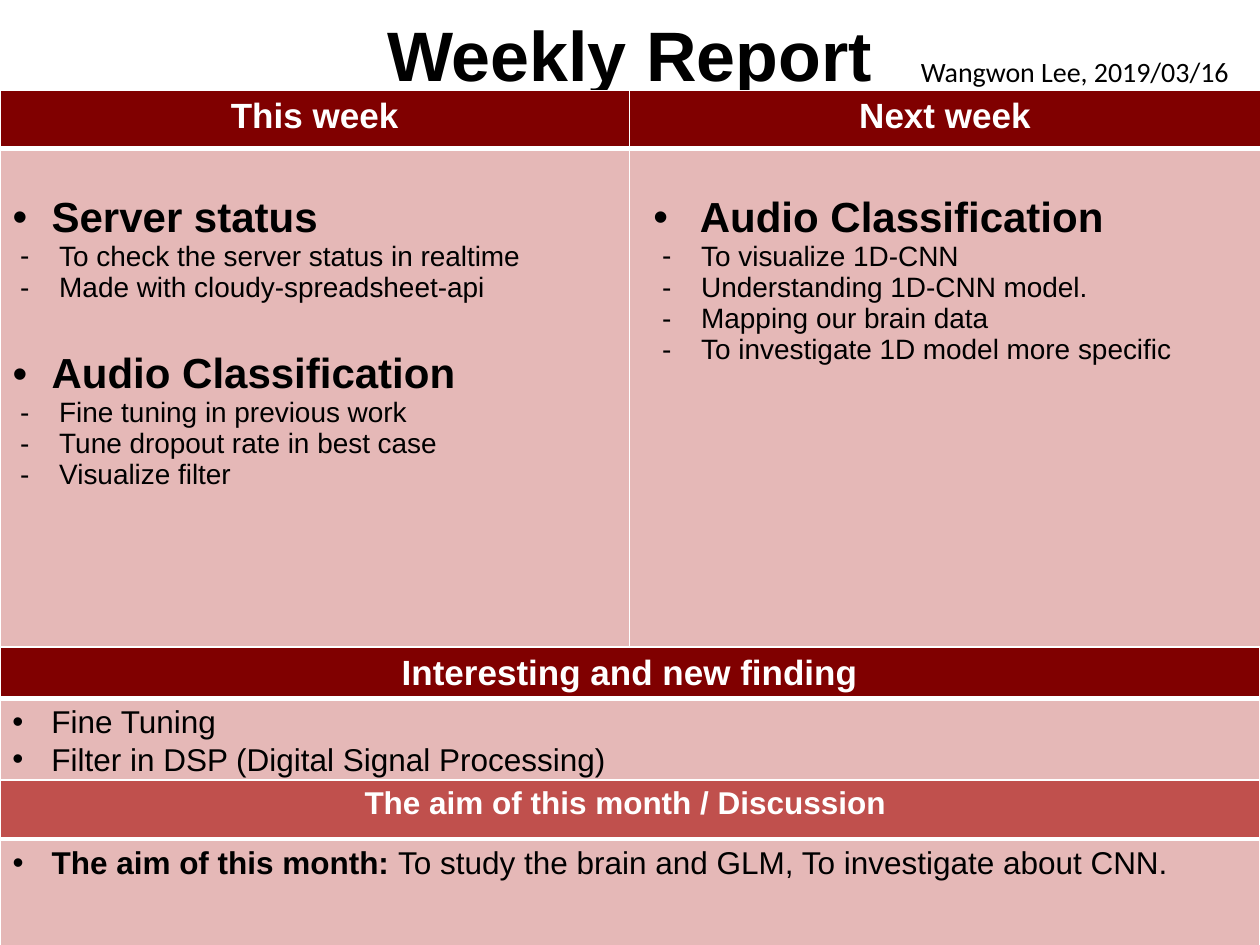
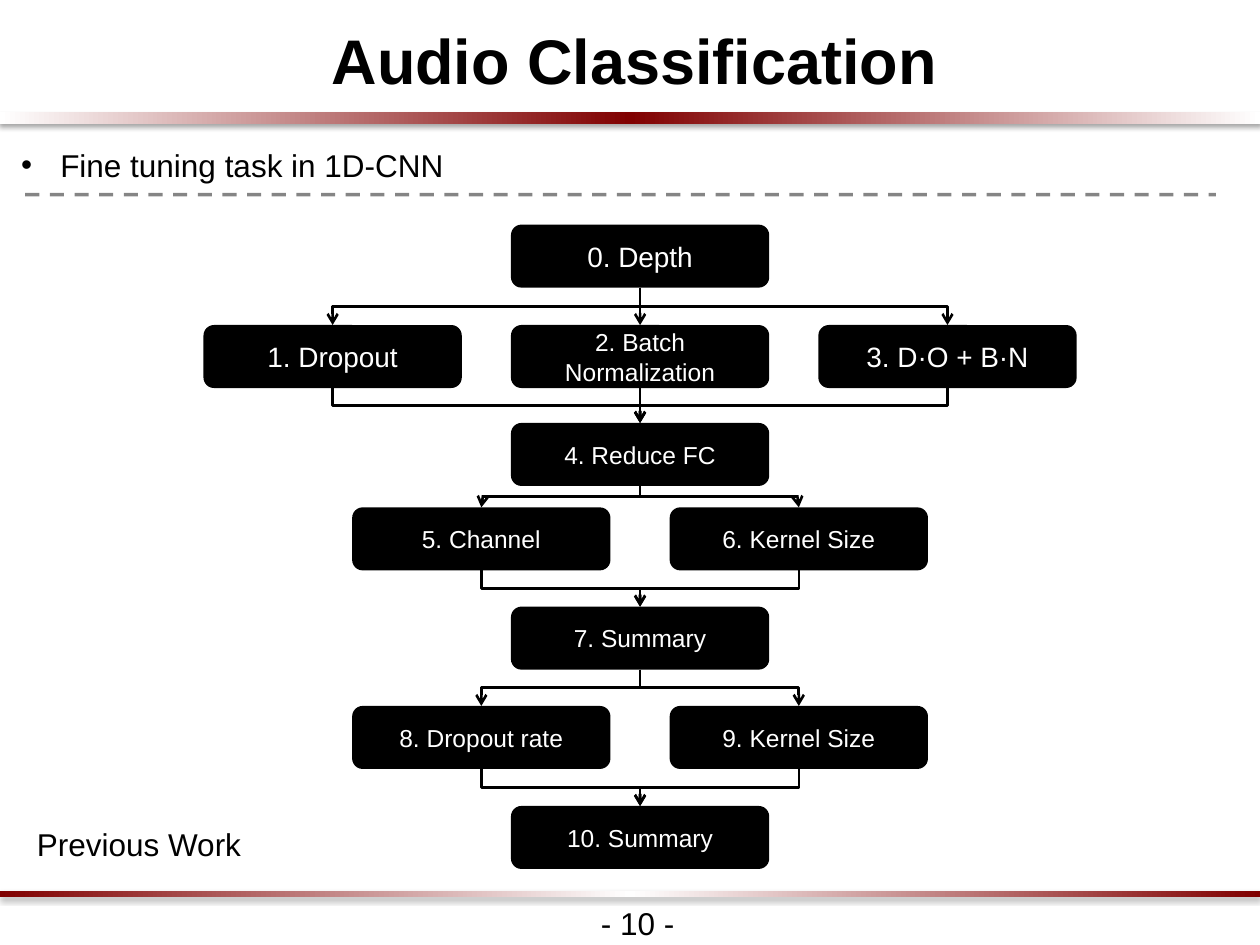
import copy
import lxml.etree
import pptx
import pptx.dml.color
import pptx.enum.dml
import pptx.enum.shapes
import pptx.enum.text
import pptx.oxml.ns
import pptx.util

Pt = pptx.util.Pt
Inches = pptx.util.Inches
qn = pptx.oxml.ns.qn
Shape = pptx.enum.shapes.MSO_SHAPE
Link = pptx.enum.shapes.MSO_CONNECTOR
Align = pptx.enum.text.PP_ALIGN
Fit = pptx.enum.text.MSO_AUTO_SIZE
Anchor = pptx.enum.text.MSO_ANCHOR

HUES = {"ink": "000000", "paper": "FFFFFF", "wine": "800000",
        "rose": "E5B8B7", "brick": "C0504D"}
DOT = {"mark": "•", "left": 0.31, "hang": 0.31}
HEAD = {"size": 20, "bold": True, "hue": "paper", "mid": True}


def tint(name):
    return pptx.dml.color.RGBColor.from_string(HUES[name])


def add(root, tag, **attrs):
    return lxml.etree.SubElement(root, qn(tag), attrs)


def write(frame, text, size=18, bold=False, hue="ink", font="Arial", mid=False,
          mark=None, left=0, hang=0, gap=0, lead=None, join=False):
    para = frame.paragraphs[-1]
    if para.runs and not join:
        para = frame.add_paragraph()
    run = para.add_run()
    run.text = text
    run.font.size, run.font.bold, run.font.name = Pt(size), bold, font
    run.font.color.rgb = tint(hue)
    if mid:
        para.alignment = Align.CENTER
    if gap:
        para.space_before = Pt(gap)
    if lead:
        para.line_spacing = lead
    if left:
        props = para._p.get_or_add_pPr()
        props.set("marL", str(Inches(left)))
        props.set("indent", str(-Inches(hang)))
    if mark:
        props = para._p.get_or_add_pPr()
        add(props, "a:buFont", typeface="Arial")
        add(props, "a:buChar", char=mark)


class Deck:
    """Holds the style, a grid of 100 columns by 75 rows, and the current slide."""

    def __init__(self):
        self.file = pptx.Presentation()
        self.file.slide_width, self.file.slide_height = Inches(10), Inches(7.5)
        self.plan = self.file.slide_layouts[5]
        self.slide = None

    def cols(self, num):
        return round(self.file.slide_width * num / 100)

    def rows(self, num):
        return round(self.file.slide_height * num / 75)

    def area(self, x, y, wide, high):
        return self.cols(x), self.rows(y), self.cols(wide), self.rows(high)

    def open(self):
        self.slide = self.file.slides.add_slide(self.plan)

    def title(self, text, x, y, wide, high, pad=0.05, **form):
        box = self.slide.shapes.title
        box.left, box.top, box.width, box.height = self.area(x, y, wide, high)
        frame = box.text_frame
        frame.auto_size = Fit.NONE
        frame.vertical_anchor = Anchor.MIDDLE
        frame.margin_top = frame.margin_bottom = Inches(pad)
        write(frame, text, bold=True, mid=True, **form)

    def text(self, lines, x, y, wide, high, wrap=True, **form):
        box = self.slide.shapes.add_textbox(*self.area(x, y, wide, high))
        frame = box.text_frame
        frame.word_wrap = wrap
        frame.auto_size = Fit.NONE if wrap else Fit.SHAPE_TO_FIT_TEXT
        for line in lines:
            write(frame, line, **form)

    def shape(self, kind, x, y, wide, high):
        item = self.slide.shapes.add_shape(kind, *self.area(x, y, wide, high))
        item.shadow.inherit = False
        item.line.fill.background()
        return item

    def band(self, y, high, edge, core):
        item = self.shape(Shape.RECTANGLE, 0, y, 100, high)
        props = item._element.spPr
        item.fill.gradient()
        item.fill.gradient_angle = 0
        stops = props.find(".//" + qn("a:gsLst"))
        stops.append(copy.deepcopy(stops[0]))
        for stop, name, spot in zip(item.fill.gradient_stops,
                                    (edge, core, edge), (0, 0.5, 1)):
            stop.color.rgb, stop.position = tint(name), spot
        glow = add(props.find(qn("a:effectLst")), "a:outerShdw",
                   blurRad=str(Pt(3.1)), dist=str(Pt(1.8)), dir="5400000")
        shade = add(glow, "a:srgbClr", val=HUES["ink"])
        add(shade, "a:alpha", val="35000")
        self.plan.shapes._spTree.append(item._element)

    def box(self, label, x, y, size):
        item = self.shape(Shape.ROUNDED_RECTANGLE, x, y, 20.5, 5)
        item.fill.solid()
        item.fill.fore_color.rgb = tint("ink")
        item.text_frame.word_wrap = True
        item.text_frame.vertical_anchor = Anchor.MIDDLE
        write(item.text_frame, label, size=size, hue="paper", mid=True)
        return item

    def line(self, kind, ends, width=1.5):
        item = self.slide.shapes.add_connector(kind, *ends)
        item.line.width = Pt(width)
        item.line.color.rgb = tint("ink")
        add(item._element.spPr, "a:effectLst")
        return item

    def rule(self, x, y, end):
        item = self.line(Link.STRAIGHT, (self.cols(x), self.rows(y),
                                         self.cols(end), self.rows(y)), 2)
        item.line.dash_style = pptx.enum.dml.MSO_LINE.DASH
        shade = item.get_or_add_ln().find(".//" + qn("a:srgbClr"))
        add(shade, "a:alpha", val="47000")

    def arrow(self, start, goal):
        x1, y1 = start.left + start.width // 2, start.top + start.height
        x2, y2 = goal.left + goal.width // 2, goal.top
        if x1 == x2:
            item = self.line(Link.STRAIGHT, (x1, y1, x2, y2))
            item.begin_connect(start, 2)
            item.end_connect(goal, 0)
        else:
            right = x2 > x1
            mid, level = (x1 + x2) // 2, (y1 + y2) // 2
            half, reach = (y2 - y1) // 2, abs(x2 - x1) // 2
            side = half if right else -half
            item = self.line(Link.ELBOW, (mid + side, level - reach,
                                          mid - side, level + reach))
            turn = 270 if right else 90
            item._element.spPr.xfrm.set("rot", str(turn * 60000))
        add(item.get_or_add_ln(), "a:tailEnd", type="arrow")

    def table(self, x, y, wides, highs, head="wine"):
        table = self.slide.shapes.add_table(
            len(highs), len(wides),
            *self.area(x, y, sum(wides), sum(highs))).table
        for col, wide in zip(table.columns, wides):
            col.width = self.cols(wide)
        for i, (row, high) in enumerate(zip(table.rows, highs)):
            row.height = self.rows(high)
            for cell in row.cells:
                self.edge(cell, 3 if i == 1 else 0.96, 3 if i == 0 else 0.96)
                cell.fill.solid()
                cell.fill.fore_color.rgb = tint("rose" if i else head)
        return table

    def edge(self, cell, top, base):
        props = cell._tc.get_or_add_tcPr()
        for side, width in zip("LRTB", (0.96, 0.96, top, base)):
            line = add(props, "a:ln" + side, w=str(Pt(width)))
            add(add(line, "a:solidFill"), "a:srgbClr", val=HUES["paper"])


def fill(cell, parts, head, item):
    cell.margin_top = Inches(0.36)
    for i, (topic, notes) in enumerate(parts):
        write(cell.text_frame, topic, size=24, bold=True, mark="•",
              gap=27 if i else 0, **head)
        for note in notes:
            write(cell.text_frame, note, size=16, mark="-", **item)


def report(deck):
    deck.title("Weekly Report", 0.1, 0.3, 99.7, 7.9, size=40)
    deck.text(["Wangwon Lee, 2019/03/16"], 72.1, 3.85, 28.2, 4,
              size=16, font="Calibri")

    weeks = deck.table(0, 7.2, (49.95, 50.1), (4.6, 52.2, 10.3))
    for i, name in enumerate(("This week", "Next week")):
        write(weeks.cell(0, i).text_frame, name, **HEAD)
    weeks.cell(1, 0).merge(weeks.cell(2, 0))
    fill(weeks.cell(1, 0), [
        ("Server status", ["To check the server status in realtime",
                           "Made with cloudy-spreadsheet-api"]),
        ("Audio Classification", ["Fine tuning in previous work",
                                  "Tune dropout rate in best case",
                                  "Visualize filter"]),
    ], {"left": 0.31, "hang": 0.31}, {"left": 0.37, "hang": 0.31})
    fill(weeks.cell(1, 1), [
        ("Audio Classification", ["To visualize 1D-CNN",
                                  "Understanding 1D-CNN model.",
                                  "Mapping our brain data",
                                  "To investigate 1D model more specific"]),
    ], {"left": 0.46, "hang": 0.37}, {"left": 0.47, "hang": 0.31})

    finds = deck.table(0, 51.35, (99.95,), (4.1, 16.2))
    write(finds.cell(0, 0).text_frame, "Interesting and new finding", **HEAD)

    aims = deck.table(0, 61.9, (99.95,), (4.7, 9.4, 4.6), "brick")
    write(aims.cell(0, 0).text_frame, "The aim of this month / Discussion ",
          **{**HEAD, "size": 18})
    goal = aims.cell(1, 0).text_frame
    write(goal, "The aim of this month: ", bold=True, **DOT)
    write(goal, "To study the brain and GLM, To investigate about CNN.",
          join=True)

    deck.text(["Fine Tuning", "Filter in DSP (Digital Signal Processing)"],
              0, 55.25, 99.7, 6.3, **DOT)


def flow(deck):
    deck.title("Audio Classification", -2.3, 0.3, 104.5, 7.9, pad=0.1,
               size=36, lead=1.15, left=0.08)
    deck.text(["Fine tuning task in 1D-CNN"], 0.7, 11.1, 94.2, 4.3, **DOT)
    deck.rule(2, 15.45, 96.5)

    tiers = [
        (17.83, {"0. Depth": 16}),
        (25.8, {"1. Dropout": 16, "2. Batch Normalization": 14,
                "3. D·O + B·N": 16}),
        (33.57, {"4. Reduce FC": 14}),
        (40.27, {"5. Channel": 14, "6. Kernel Size": 14}),
        (48.15, {"7. Summary": 14}),
        (56.03, {"8. Dropout rate": 14, "9. Kernel Size": 14}),
        (63.97, {"10. Summary": 14}),
    ]
    above = []
    for top, labels in tiers:
        count = len(labels)
        step = 24.4 if count == 3 else 25.2
        boxes = [deck.box(label, 40.55 + (i - (count - 1) / 2) * step, top, size)
                 for i, (label, size) in enumerate(labels.items())]
        for start in above:
            for goal in boxes:
                deck.arrow(start, goal)
        above = boxes

    deck.text(["- 10 -"], 46.7, 71.25, 7.9, 4, wrap=False)
    deck.text(["Previous Work"], 1.95, 65, 18.4, 4, wrap=False)


def main():
    deck = Deck()
    deck.open()
    deck.band(8.9, 0.95, "paper", "wine")
    deck.band(70.7, 0.5, "wine", "paper")
    report(deck)
    deck.open()
    flow(deck)
    deck.file.save("out.pptx")


if __name__ == "__main__":
    main()
